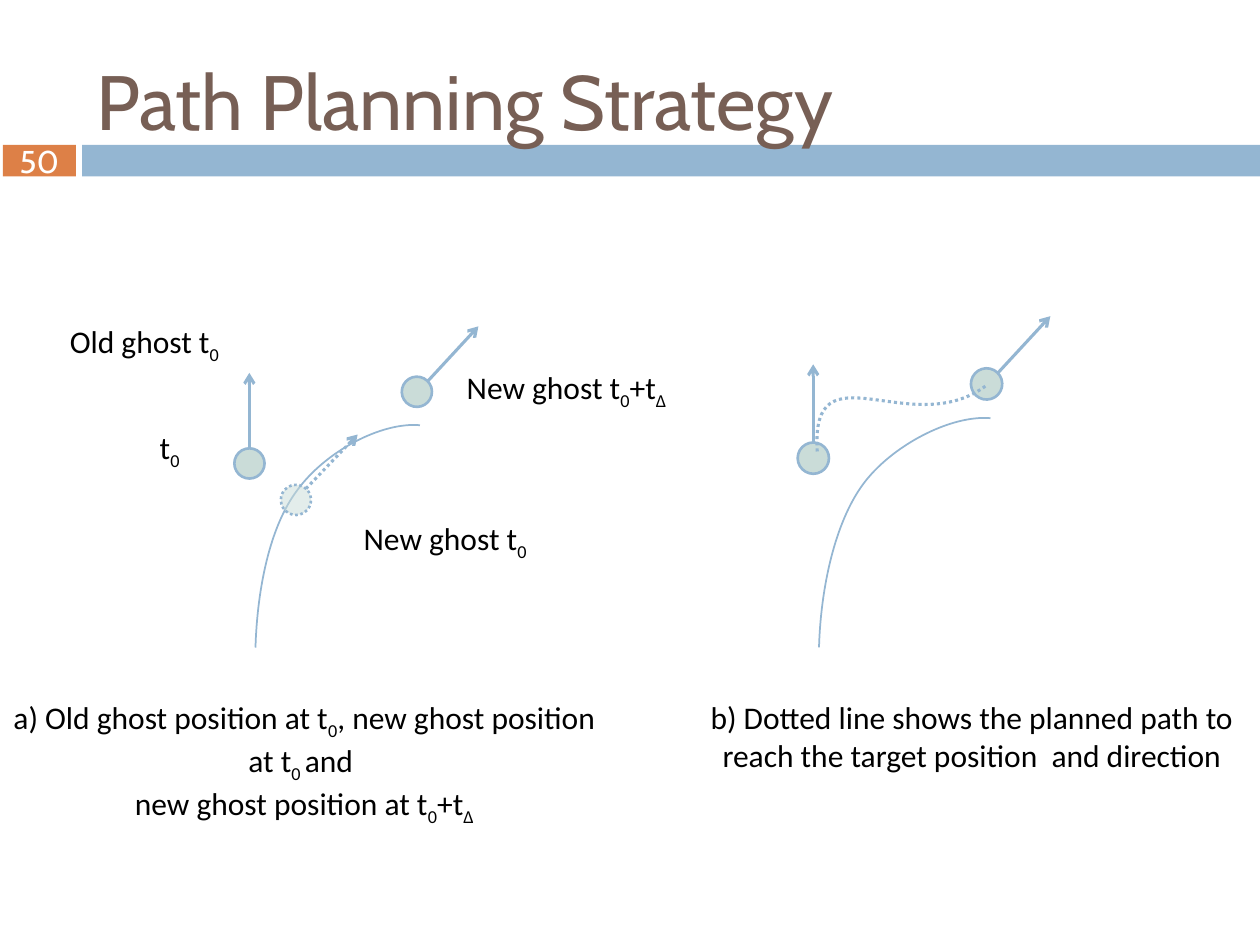
import pptx
import pptx.util
import pptx.dml.color
import pptx.enum.dml
import pptx.enum.shapes
import pptx.enum.text
import pptx.oxml
import pptx.oxml.ns

Pt = pptx.util.Pt
ALIGN = pptx.enum.text.PP_ALIGN
ANCHOR = pptx.enum.text.MSO_ANCHOR
SHAPE = pptx.enum.shapes.MSO_SHAPE
BLUE, ORANGE, BROWN, GHOST = "94B6D2", "DD8047", "775F55", "CADCD8"
SCENE_WIDTH = 140
GHOST_SIZE = 17.3


def paint(color_format, color):
    """Set a colour format from a hex string."""
    color_format.rgb = pptx.dml.color.RGBColor.from_string(color)


def append_tag(parent, tag, **attributes):
    """Append a drawing element with its attributes and return it."""
    child = pptx.oxml.parse_xml(f"<a:{tag} {pptx.oxml.ns.nsdecls('a')}/>")
    for name, value in attributes.items():
        child.set(name, value)
    parent.append(child)
    return child


def style_line(line, width, dotted=False):
    """Give a line the blue colour, its width and its dash."""
    paint_line = line.fill
    paint_line.solid()
    paint(paint_line.fore_color, BLUE)
    line.width = Pt(width)
    if dotted:
        line.dash_style = pptx.enum.dml.MSO_LINE.ROUND_DOT


def add_span(para, text, size, font, color):
    """Add one formatted run and return it."""
    span = para.add_run()
    span.text = text
    span.font.size = Pt(size)
    span.font.name = font
    paint(span.font.color, color)
    return span


def add_filled(page, kind, box, color):
    """Add a preset shape with a solid fill and no shadow."""
    shape = page.shapes.add_shape(kind, *map(Pt, box))
    shape.shadow.inherit = False
    shape.fill.solid()
    paint(shape.fill.fore_color, color)
    return shape


def add_text(page, box, paragraphs, align=ALIGN.CENTER, wrap=True):
    """Add a text box whose every second run is a subscript."""
    frame = page.shapes.add_textbox(*map(Pt, box)).text_frame
    frame.word_wrap = wrap
    frame.auto_size = pptx.enum.text.MSO_AUTO_SIZE.SHAPE_TO_FIT_TEXT
    for number, texts in enumerate(paragraphs):
        para = frame.add_paragraph() if number else frame.paragraphs[0]
        para.alignment = align
        for index, text in enumerate(texts):
            span = add_span(para, text, 18, "Calibri", "000000")
            if index % 2:
                span.font._element.set("baseline", "-25000")


def add_curve(page, points, width, dotted=False):
    """Add an open cubic curve from a start and triples of control points."""
    builder = page.shapes.build_freeform(*points[0], scale=Pt(1))
    builder.add_line_segments(points[1:], close=False)
    curve = builder.convert_to_shape()
    curve.shadow.inherit = False
    curve.fill.background()
    style_line(curve.line, width, dotted)
    path = next(curve._element.iter(pptx.oxml.ns.qn("a:path")))
    corners = path.findall(pptx.oxml.ns.qn("a:lnTo"))
    for start in range(0, len(corners), 3):
        bend = append_tag(path, "cubicBezTo")
        for corner in corners[start:start + 3]:
            bend.append(corner[0])
            path.remove(corner)


def add_arrow(page, start, end, dotted=False):
    """Add a straight arrow between two points."""
    arrow = page.shapes.add_connector(
        pptx.enum.shapes.MSO_CONNECTOR.STRAIGHT, *map(Pt, (*start, *end)))
    style_line(arrow.line, 1.75, dotted)
    append_tag(arrow.line._get_or_add_ln(), "tailEnd", type="arrow")
    append_tag(arrow._element.spPr, "effectLst")


def add_ghost(page, corner, size, rotation=0, dotted=False):
    """Add a ghost circle, translucent when dotted."""
    ghost = add_filled(page, SHAPE.OVAL, (*corner, size, size), GHOST)
    ghost.rotation = rotation
    style_line(ghost.line, 1.5, dotted)
    if dotted:
        color = next(ghost._element.spPr.iter(pptx.oxml.ns.qn("a:srgbClr")))
        append_tag(color, "alpha", val="51000")


def add_scene(page, box, target=False, planned=False):
    """Draw the road, the old and new ghosts and the optional dotted parts."""
    left, top, width = box
    scale = width / SCENE_WIDTH
    size = GHOST_SIZE * scale

    def place(x, y):
        """Map a scene point into the box."""
        return left + x * scale, top + y * scale

    road = [(12.2, 183.6), (13, 150.5), (20.2, 114.5), (36, 93.6),
            (51.9, 72), (84.3, 54.7), (106.6, 56.2)]
    add_curve(page, [place(*point) for point in road], 1)
    add_arrow(page, place(8.6, 78.5), place(8.6, 26.6))
    add_ghost(page, place(0, 69.8), size)
    add_arrow(page, place(104.4, 38.2), place(139.7, 0))
    add_ghost(page, place(95.8, 28.8), size, 43)
    if target:
        add_arrow(page, place(41, 92.9), place(70.6, 61.9), True)
        add_ghost(page, place(26.6, 90.7), size, 43, True)
    if planned:
        route = [(10.4, 75.2), (7, 14.6), (62.7, 69.6), (105.1, 37.6)]
        add_curve(page, [place(*point) for point in route], 1.75, True)


def add_header(page, box):
    """Place the number tile, the band and the title above them."""
    left, top, width, height = box
    tile = add_filled(page, SHAPE.RECTANGLE, (left, top, 41.8, height), ORANGE)
    band_left = left + 45.4
    band = add_filled(page, SHAPE.RECTANGLE,
                      (band_left, top, left + width - band_left, height), BLUE)
    for shape in (tile, band):
        shape.line.fill.background()
    frame = tile.text_frame
    frame.margin_left = frame.margin_right = 0
    frame.margin_top = frame.margin_bottom = 0
    frame.vertical_anchor = ANCHOR.MIDDLE
    frame.paragraphs[0].alignment = ALIGN.CENTER
    add_span(frame.paragraphs[0], "50", 18, "Cabin", "FFFFFF")

    title = page.shapes.title
    title.left, title.top = Pt(48), Pt(18)
    title.width, title.height = Pt(642), Pt(78)
    title.text_frame.vertical_anchor = ANCHOR.MIDDLE
    para = title.text_frame.paragraphs[0]
    para.alignment = ALIGN.LEFT
    add_span(para, "Path Planning Strategy", 44, "Cabin", BROWN)
    page.shapes._spTree.append(title._element)


def add_ghost_labels(page, left, top):
    """Name the ghosts around the first scene."""
    add_text(page, (left + 66.2, top + 60.5, 36.7, 29), [["t", "0"]], ALIGN.LEFT)
    add_text(page, (left + 241.2, top + 26, 129, 51),
             [["New ghost t", "0", "+t", "Δ"]])
    add_text(page, (left + 163.4, top + 112.3, 146, 29), [["New ghost t", "0"]])
    add_text(page, (left, top, 129, 29), [["Old ghost t", "0"]])


def add_captions(page, top):
    """Place the two captions under the scenes."""
    add_text(page, (0, top, 347.8, 72.7), [
        ["a) Old ghost position at t", "0", ", new ghost position at t", "0 ", "and "],
        ["new ghost position at t", "0", "+t", "Δ"]])
    add_text(page, (397.4, top, 316, 51), [
        ["b) Dotted line shows the planned path to"],
        ["reach the target position  and direction"]], wrap=False)


def main():
    """Build the slide and save it."""
    deck = pptx.Presentation()
    deck.slide_width, deck.slide_height = Pt(720), Pt(540)
    page = deck.slides.add_slide(deck.slide_layouts[5])
    add_header(page, (1.6, 82.8, 718.4, 18))
    add_scene(page, (133.9, 186.5, 139.8), target=True)
    add_ghost_labels(page, 18, 180.7)
    add_scene(page, (455.8, 180.7, 144.7), planned=True)
    add_captions(page, 395.3)
    deck.save("out.pptx")


if __name__ == "__main__":
    main()
